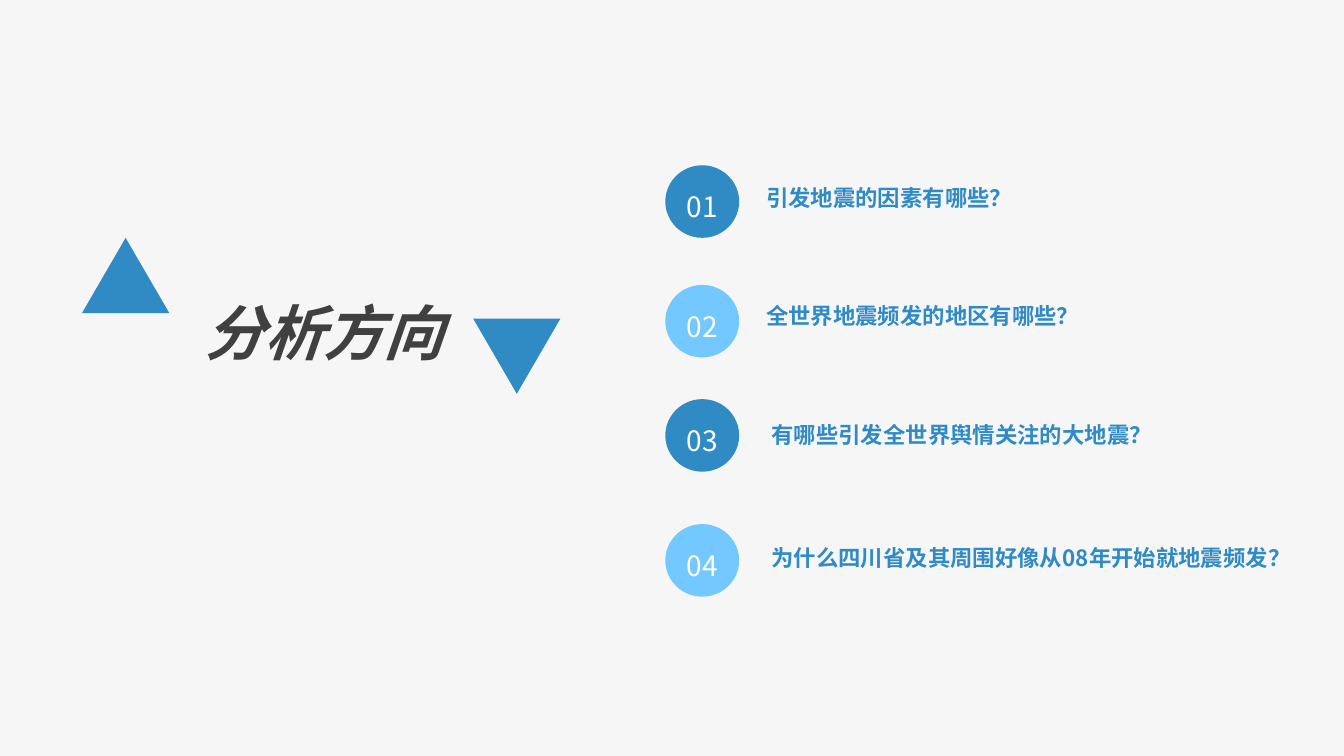
from pptx import Presentation
from pptx.dml.color import RGBColor
from pptx.enum.shapes import MSO_SHAPE
from pptx.enum.text import MSO_ANCHOR, MSO_AUTO_SIZE, PP_ALIGN
from pptx.oxml.ns import qn
from pptx.util import Inches, Pt

OVAL, TRIANGLE = MSO_SHAPE.OVAL, MSO_SHAPE.ISOSCELES_TRIANGLE
TOP, MIDDLE, BOTTOM = MSO_ANCHOR.TOP, MSO_ANCHOR.MIDDLE, MSO_ANCHOR.BOTTOM
LEFT, CENTER = PP_ALIGN.LEFT, PP_ALIGN.CENTER
GROW, FIXED = MSO_AUTO_SIZE.SHAPE_TO_FIT_TEXT, MSO_AUTO_SIZE.NONE

TITLE_ONLY = 5
WIDTH = 10
HEIGHT = WIDTH * 9 / 16
FONT = "Noto Sans CJK SC"
PAPER, INK, WHITE = "F6F6F6", "404040", "FFFFFF"
BLUE, SKY = "308BC4", "73C8FF"

# question, top of its row, left and top of its text within the row
QUESTIONS = [
    ("引发地震的因素有哪些？", 1.23, 0.75, 0.10),
    ("全世界地震频发的地区有哪些？", 2.12, 0.75, 0.09),
    ("有哪些引发全世界舆情关注的大地震？", 2.97, 0.79, 0.12),
    ("为什么四川省及其周围好像从08年开始就地震频发？", 3.90, 0.79, 0.11),
]


def color(hex_code):
    return RGBColor.from_string(hex_code)


def inches(*lengths):
    return [Inches(length) for length in lengths]


def write(box, text, size, hex_code, spacing, align=LEFT, anchor=TOP,
          margins=(0.1, 0.05), bold=False, italic=False):
    frame = box.text_frame
    frame.text = text
    frame.word_wrap = False
    frame.vertical_anchor = anchor
    side, edge = inches(*margins)
    frame.margin_left = frame.margin_right = side
    frame.margin_top = frame.margin_bottom = edge
    para = frame.paragraphs[0]
    para.alignment = align
    para.line_spacing = spacing
    font = para.runs[0].font
    font.name, font.size = FONT, Pt(size)
    font.bold, font.italic = bold, italic
    font.color.rgb = color(hex_code)
    # East Asian glyphs take their typeface from a:ea, right after a:latin
    latin = font._element.find(qn("a:latin"))
    east_asian = latin.makeelement(qn("a:ea"), {"typeface": FONT})
    latin.addnext(east_asian)


def add_solid(shapes, kind, left, top, width, height, fill):
    shape = shapes.add_shape(kind, *inches(left, top, width, height))
    shape.shadow.inherit = False
    shape.fill.solid()
    shape.fill.fore_color.rgb = color(fill)
    shape.line.fill.background()
    return shape


def add_heading(page, left, top, width, height):
    """Title between an upright and an inverted triangle."""
    side, rise = 0.65, 0.56
    title = page.shapes.title
    title.left, title.top, title.width, title.height = inches(
        left + 0.81, top + 0.17, 2, 0.77)
    write(title, "分析方向", 32, INK, 1.4, bold=True, italic=True)
    title.text_frame.auto_size = GROW
    add_solid(page.shapes, TRIANGLE, left, top, side, rise, BLUE)
    inverted = add_solid(page.shapes, TRIANGLE, left + width - side,
                         top + height - rise, side, rise, BLUE)
    inverted.rotation = 180


def add_question(page, number, question, left, top, text_left, text_top):
    group = page.shapes.add_group_shape()
    badge = add_solid(group.shapes, OVAL, left, top, 0.55, 0.54,
                      BLUE if number % 2 else SKY)
    write(badge, f"{number:02}", 15, WHITE, 1.3, CENTER, MIDDLE, (0.07, 0.04))
    label = group.shapes.add_textbox(
        *inches(left + text_left, top + text_top, 2.92, 0.24))
    write(label, question, 12, BLUE, 1.4, anchor=BOTTOM, margins=(0, 0),
          bold=True)
    label.text_frame.auto_size = FIXED


def main():
    deck = Presentation()
    deck.slide_width, deck.slide_height = inches(WIDTH, HEIGHT)
    page = deck.slides.add_slide(deck.slide_layouts[TITLE_ONLY])
    page.background.fill.solid()
    page.background.fill.fore_color.rgb = color(PAPER)
    add_heading(page, 0.61, 1.77, 3.56, 1.16)
    for number, (question, top, text_left, text_top) in enumerate(QUESTIONS, 1):
        add_question(page, number, question, 4.95, top, text_left, text_top)
    deck.save("out.pptx")


if __name__ == "__main__":
    main()
